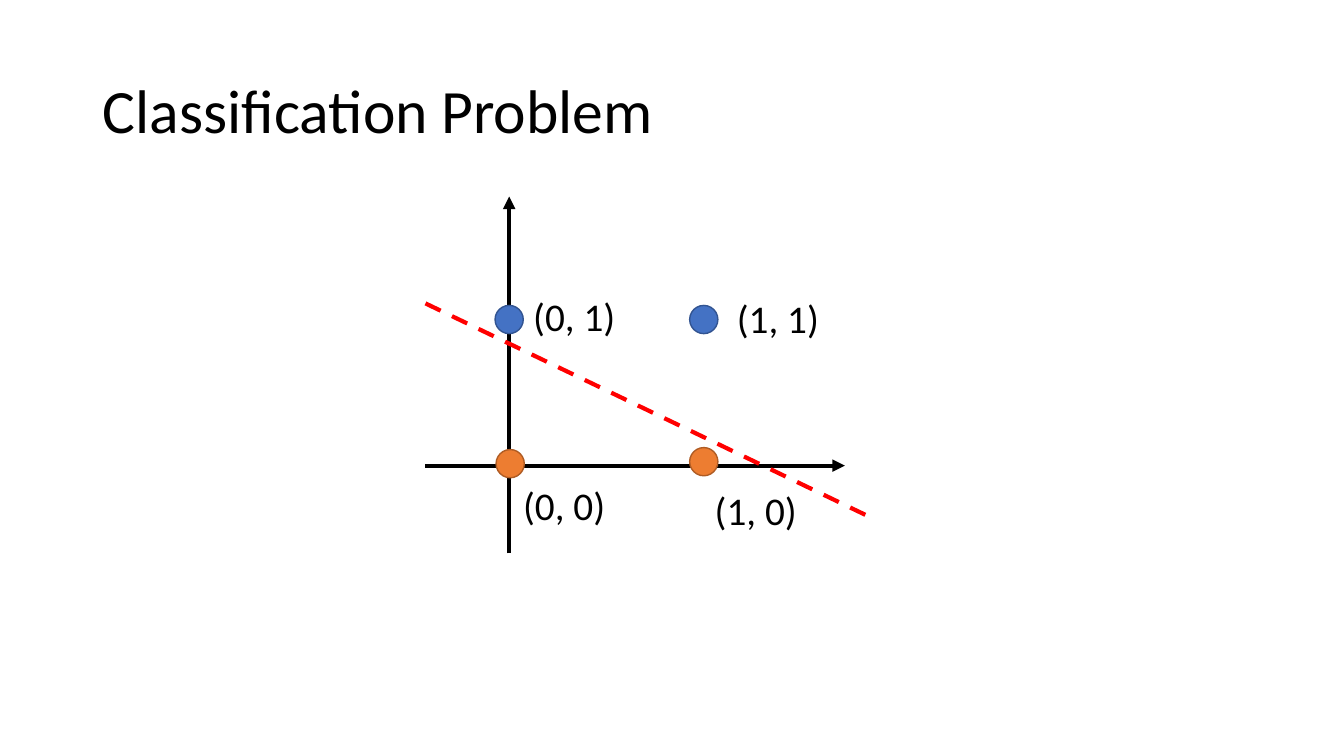
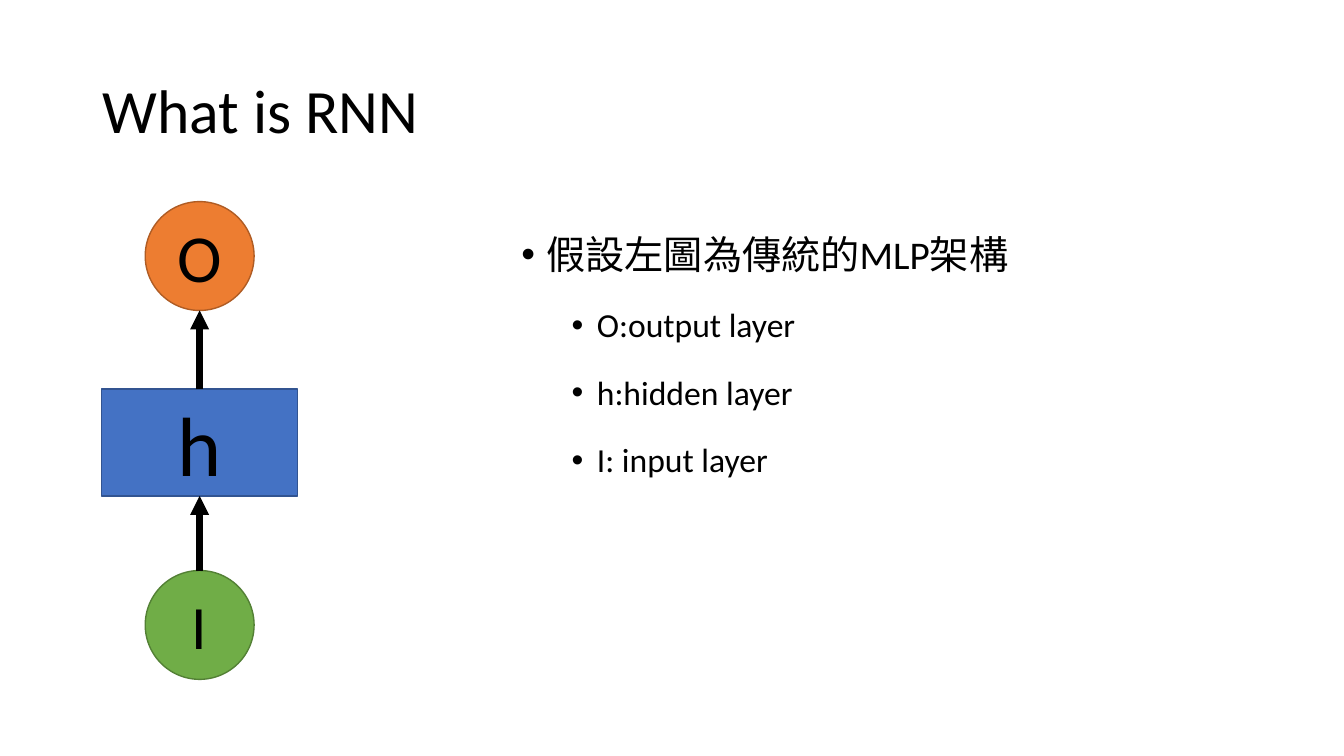
from dataclasses import dataclass

from lxml import etree
from pptx import Presentation
from pptx.dml.color import RGBColor
from pptx.enum.dml import MSO_LINE
from pptx.enum.shapes import MSO_CONNECTOR, MSO_SHAPE
from pptx.enum.text import MSO_ANCHOR, MSO_AUTO_SIZE, PP_ALIGN
from pptx.oxml.ns import qn
from pptx.util import Inches, Pt

DASH = MSO_LINE.DASH
STRAIGHT = MSO_CONNECTOR.STRAIGHT
ELLIPSE, RECTANGLE = MSO_SHAPE.OVAL, MSO_SHAPE.RECTANGLE
MIDDLE, TOP_ANCHOR = MSO_ANCHOR.MIDDLE, MSO_ANCHOR.TOP
FIT_SHAPE, NO_FIT = MSO_AUTO_SIZE.SHAPE_TO_FIT_TEXT, MSO_AUTO_SIZE.NONE
LEFT, CENTER = PP_ALIGN.LEFT, PP_ALIGN.CENTER
TOP, BOTTOM = 0, 2
TITLE_AND_CONTENT, TITLE_ONLY = 1, 5


@dataclass(frozen=True)
class Theme:
    font: str = "Calibri"
    black: str = "000000"
    red: str = "FF0000"
    # Each pair is fill and outline
    blue: tuple = ("4472C4", "325491")
    orange: tuple = ("ED7D31", "AF5C24")
    green: tuple = ("70AD47", "538035")
    title_size: int = 44
    label_size: int = 28
    list_sizes: tuple = (28, 24)
    list_space: tuple = (10, 5)


class Deck:
    """Holds the style and the slide being drawn."""

    def __init__(self, theme):
        self.theme = theme
        self.presentation = Presentation()
        self.presentation.slide_width = Inches(13.33)
        self.presentation.slide_height = Inches(7.5)
        self.slide = None

    def add_slide(self, title, layout):
        layouts = self.presentation.slide_layouts
        self.slide = self.presentation.slides.add_slide(layouts[layout])
        shape = self.slide.shapes.title
        self.place(shape, 0.92, 0.4, 11.5, 1.45)
        frame = shape.text_frame
        frame.text = title
        frame.vertical_anchor = MIDDLE
        frame.auto_size = NO_FIT
        paragraph = frame.paragraphs[0]
        paragraph.line_spacing = 0.9
        self.format(paragraph, self.theme.title_size, LEFT)

    def place(self, shape, left, top, width, height):
        shape.left, shape.top = Inches(left), Inches(top)
        shape.width, shape.height = Inches(width), Inches(height)

    def format(self, paragraph, size, alignment):
        paragraph.alignment = alignment
        for run in paragraph.runs:
            run.font.name = self.theme.font
            run.font.size = Pt(size)
            run.font.color.rgb = RGBColor.from_string(self.theme.black)

    def bullets(self, items, left, top, width, height):
        """Fill the body placeholder with (level, text) items."""
        body = self.slide.placeholders[1]
        self.place(body, left, top, width, height)
        frame = body.text_frame
        frame.auto_size = NO_FIT
        frame.vertical_anchor = TOP_ANCHOR
        frame.text = "\n".join(text for _, text in items)
        for paragraph, (level, _) in zip(frame.paragraphs, items):
            paragraph.level = level
            paragraph.line_spacing = 1.5
            paragraph.space_before = Pt(self.theme.list_space[level])
            self.format(paragraph, self.theme.list_sizes[level], LEFT)
            properties = paragraph._p.get_or_add_pPr()
            properties.set("marL", str(Inches(0.25 + 0.5 * level)))
            properties.set("indent", str(Inches(-0.25)))
            etree.SubElement(properties, qn("a:buFont")).set("typeface", "Arial")
            etree.SubElement(properties, qn("a:buChar")).set("char", "•")

    def shape(self, kind, center, size, colors, text="", text_size=0):
        (x, y), (width, height) = center, size
        shape = self.slide.shapes.add_shape(
            kind, Inches(x - width / 2), Inches(y - height / 2),
            Inches(width), Inches(height))
        fill, outline = colors
        shape.shadow.inherit = False
        shape.fill.solid()
        shape.fill.fore_color.rgb = RGBColor.from_string(fill)
        shape.line.color.rgb = RGBColor.from_string(outline)
        shape.line.width = Pt(1)
        if text:
            shape.text_frame.text = text
            shape.text_frame.vertical_anchor = MIDDLE
            self.format(shape.text_frame.paragraphs[0], text_size, CENTER)
        return shape

    def label(self, text, left, top):
        box = self.slide.shapes.add_textbox(
            Inches(left), Inches(top), Inches(1.03), Inches(0.57))
        frame = box.text_frame
        frame.word_wrap = False
        frame.auto_size = FIT_SHAPE
        frame.text = text
        self.format(frame.paragraphs[0], self.theme.label_size, LEFT)

    def line(self, start, end, color, width, dash=None, arrow=False):
        connector = self.slide.shapes.add_connector(
            STRAIGHT, *(Inches(value) for value in (*start, *end)))
        connector.line.color.rgb = RGBColor.from_string(color)
        connector.line.width = Pt(width)
        if dash:
            connector.line.dash_style = dash
        if arrow:
            outline = connector.line._get_or_add_ln()
            etree.SubElement(outline, qn("a:tailEnd")).set("type", "triangle")
        etree.SubElement(connector._element.spPr, qn("a:effectLst"))
        return connector


def classification_slide(deck):
    theme = deck.theme
    deck.add_slide("Classification Problem", TITLE_ONLY)

    # Axes
    for start, end in (((4.22, 4.62), (8.38, 4.62)), ((5.05, 5.49), (5.05, 1.95))):
        deck.line(start, end, theme.black, 3, arrow=True)

    # Points: text, colours, centre, corner of the label
    points = (
        ("(0, 0)", theme.orange, (5.06, 4.6), (5.09, 4.73)),
        ("(1, 0)", theme.orange, (6.98, 4.58), (6.99, 4.78)),
        ("(1, 1)", theme.blue, (6.98, 3.17), (7.21, 2.87)),
        ("(0, 1)", theme.blue, (5.05, 3.17), (5.19, 2.85)),
    )
    for text, colors, center, corner in points:
        deck.shape(ELLIPSE, center, (0.28, 0.28), colors)
        deck.label(text, *corner)

    # Decision boundary
    deck.line((4.22, 3.01), (8.65, 5.14), theme.red, 3, dash=DASH)


def rnn_slide(deck):
    theme = deck.theme
    deck.add_slide("What is RNN", TITLE_AND_CONTENT)
    deck.bullets((
        (0, "假設左圖為傳統的MLP架構"),
        (1, "O:output layer"),
        (1, "h:hidden layer"),
        (1, "I: input layer"),
    ), 5.07, 2, 7.35, 4.76)

    # Layers, one above the other
    x, circle = 1.98, (1.08, 1.08)
    deck.shape(ELLIPSE, (x, 2.54), circle, theme.orange, "O", 48)
    hidden = deck.shape(RECTANGLE, (x, 4.39), (1.94, 1.06), theme.blue, "h", 60)
    source = deck.shape(ELLIPSE, (x, 6.2), circle, theme.green, "I", 44)

    # Arrows from input to hidden and from hidden to output
    upward = deck.line((x, 5.66), (x, 4.92), theme.black, 4.5, arrow=True)
    upward.begin_connect(source, TOP)
    upward.end_connect(hidden, BOTTOM)
    upward = deck.line((x, 3.86), (x, 3.08), theme.black, 4.5, arrow=True)
    upward.begin_connect(hidden, TOP)


def main():
    deck = Deck(Theme())
    classification_slide(deck)
    rnn_slide(deck)
    deck.presentation.save("out.pptx")


if __name__ == "__main__":
    main()
